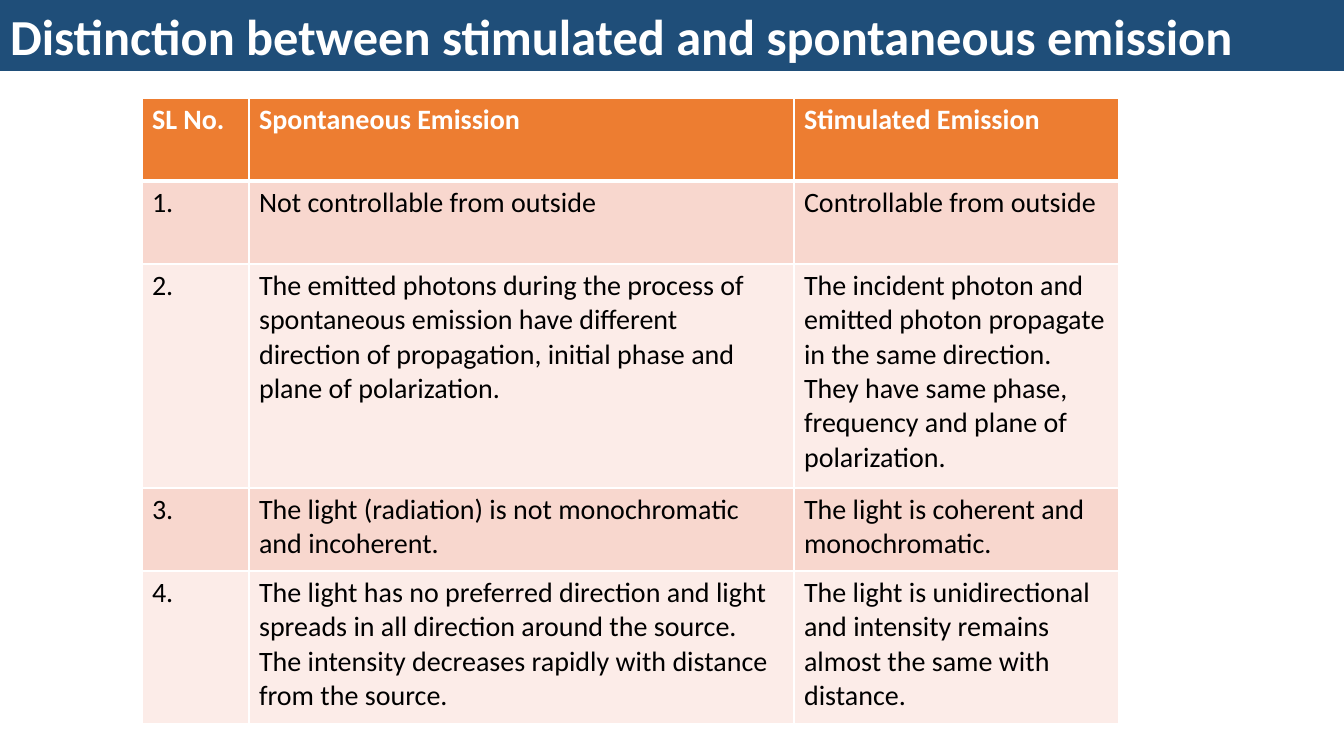
from lxml import etree
from pptx import Presentation
from pptx.dml.color import RGBColor
from pptx.enum.text import MSO_ANCHOR, MSO_AUTO_SIZE, PP_ALIGN
from pptx.oxml.ns import qn
from pptx.util import Pt

PX = 914400 / 100.8
LEFT = PP_ALIGN.LEFT
MIDDLE = MSO_ANCHOR.MIDDLE
NO_AUTOFIT = MSO_AUTO_SIZE.NONE
TITLE_ONLY = 5

WHITE = RGBColor(0xFF, 0xFF, 0xFF)
BLACK = RGBColor(0x00, 0x00, 0x00)
NAVY = RGBColor(0x1F, 0x4E, 0x79)
ORANGE = RGBColor(0xED, 0x7D, 0x31)
PEACH = RGBColor(0xF8, 0xD7, 0xCE)
PALE_PEACH = RGBColor(0xFC, 0xEC, 0xE8)

COLUMN_WIDTHS = [107, 545, 325]
ROW_HEIGHTS = [83, 83, 224, 83, 153]
HEADINGS = ("SL No.", "Spontaneous Emission", "Stimulated Emission")
DISTINCTIONS = [
    ("Not controllable from outside", "Controllable from outside"),
    ("The emitted photons during the process of spontaneous emission have "
     "different direction of propagation, initial phase and plane of polarization.",
     "The incident photon and emitted photon propagate in the same direction. "
     "They have same phase, frequency and plane of polarization."),
    ("The light (radiation) is not monochromatic and incoherent.",
     "The light is coherent and monochromatic."),
    ("The light has no preferred direction and light spreads in all direction "
     "around the source. The intensity decreases rapidly with distance from the source.",
     "The light is unidirectional and intensity remains almost the same with distance."),
]


def px(length):
    return round(length * PX)


def write_text(frame, text, size=20, color=BLACK, bold=False):
    para = frame.paragraphs[0]
    para.alignment = LEFT
    span = para.add_run()
    span.text = text
    span.font.name = "Calibri"
    span.font.size = Pt(size)
    span.font.bold = bold
    span.font.color.rgb = color


def add_title(page, text):
    box = page.shapes.title
    box.left, box.top, box.width, box.height = px(0), px(0), px(1344), px(71)
    box.fill.solid()
    box.fill.fore_color.rgb = NAVY
    frame = box.text_frame
    frame.word_wrap = True
    frame.auto_size = NO_AUTOFIT
    frame.vertical_anchor = MIDDLE
    write_text(frame, text, size=36, color=WHITE, bold=True)


def set_borders(cell, top=1, bottom=1):
    properties = cell._tc.get_or_add_tcPr()
    for side, width in (("L", 1), ("R", 1), ("T", top), ("B", bottom)):
        line = etree.SubElement(properties, qn("a:ln" + side), w=str(Pt(width)))
        fill = etree.SubElement(line, qn("a:solidFill"))
        etree.SubElement(fill, qn("a:srgbClr"), val=str(WHITE))


def fill_cell(cell, text, row):
    header = row == 0
    set_borders(cell, top=3 if row == 1 else 1, bottom=3 if header else 1)
    cell.fill.solid()
    cell.fill.fore_color.rgb = ORANGE if header else PEACH if row % 2 else PALE_PEACH
    write_text(cell.text_frame, text, color=WHITE if header else BLACK, bold=header)


def add_comparison(page):
    rows = [HEADINGS]
    rows += [(f"{number}.", *pair) for number, pair in enumerate(DISTINCTIONS, 1)]
    table = page.shapes.add_table(
        len(rows), len(HEADINGS), px(142), px(98),
        px(sum(COLUMN_WIDTHS)), px(sum(ROW_HEIGHTS))).table
    for column, width in zip(table.columns, COLUMN_WIDTHS):
        column.width = px(width)
    for row, (texts, height) in enumerate(zip(rows, ROW_HEIGHTS)):
        table.rows[row].height = px(height)
        for column, text in enumerate(texts):
            fill_cell(table.cell(row, column), text, row)


def main():
    deck = Presentation()
    deck.slide_width, deck.slide_height = px(1344), px(756)
    page = deck.slides.add_slide(deck.slide_layouts[TITLE_ONLY])
    add_title(page, "Distinction between stimulated and spontaneous emission")
    add_comparison(page)
    deck.save("out.pptx")


if __name__ == "__main__":
    main()
